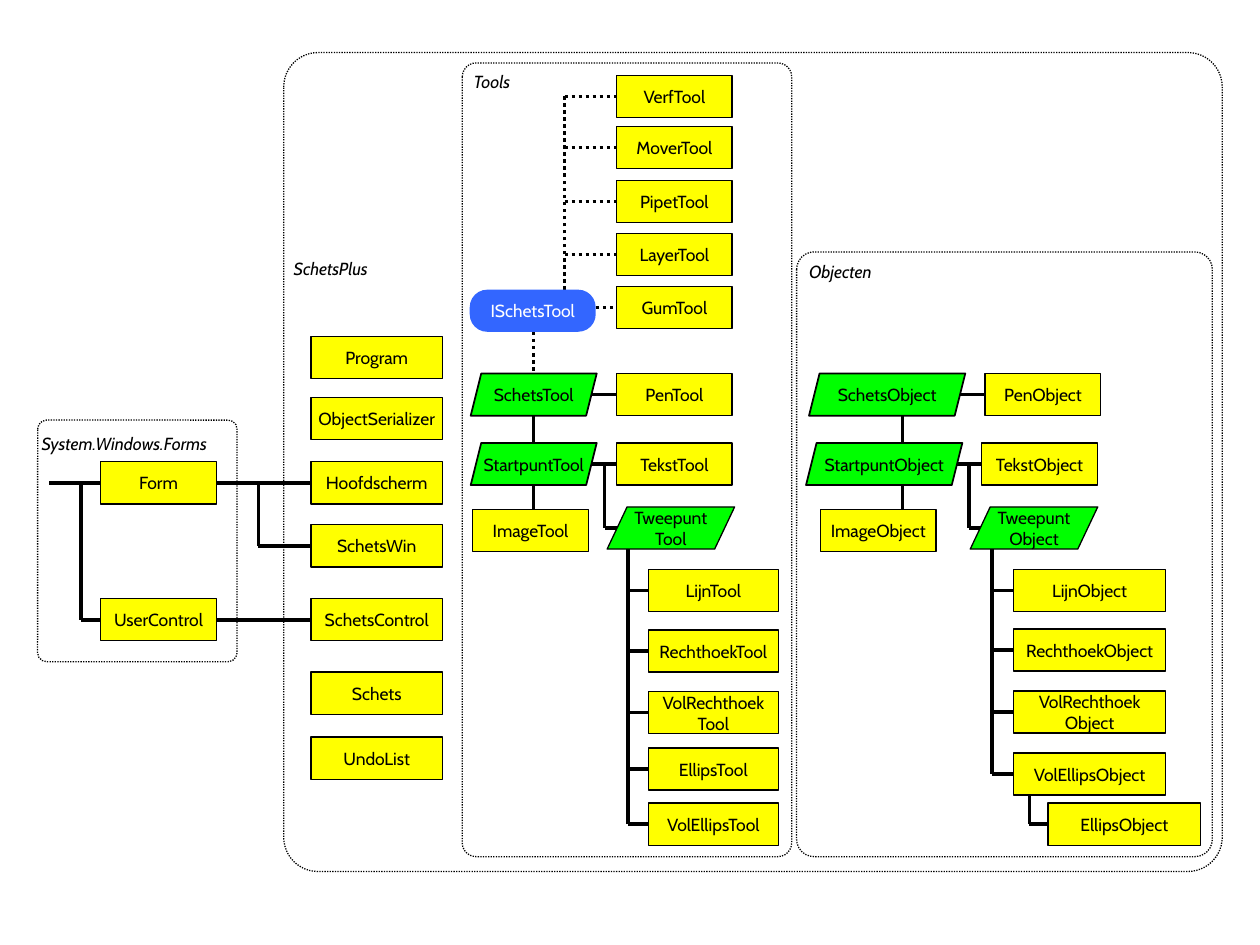
from copy import deepcopy
from dataclasses import dataclass

from lxml import etree
from pptx import Presentation
from pptx.dml.color import RGBColor
from pptx.enum.dml import MSO_LINE
from pptx.enum.shapes import MSO_CONNECTOR, MSO_SHAPE
from pptx.enum.text import MSO_ANCHOR, PP_ALIGN
from pptx.oxml.ns import qn
from pptx.util import Cm, Pt

RECT = MSO_SHAPE.RECTANGLE
ROUND = MSO_SHAPE.ROUNDED_RECTANGLE
SLANT = MSO_SHAPE.PARALLELOGRAM
STRAIGHT = MSO_CONNECTOR.STRAIGHT
DOTS = MSO_LINE.ROUND_DOT  # sysDot
CENTER, LEFT = PP_ALIGN.CENTER, PP_ALIGN.LEFT
MIDDLE = MSO_ANCHOR.MIDDLE


@dataclass(frozen=True)
class Theme:
    font: str = "Cabin"
    size: int = 10
    ink: RGBColor = RGBColor(0, 0, 0)
    light: RGBColor = RGBColor(255, 255, 255)
    concrete: RGBColor = RGBColor(255, 255, 0)
    abstract: RGBColor = RGBColor(0, 255, 0)
    interface: RGBColor = RGBColor(0x33, 0x66, 0xFF)
    thin: float = 0.75
    medium: float = 1
    thick: float = 2


THEME = Theme()
BOX_H = 0.85
NARROW = 2.33

# name, left, top, width, height, corner, label left, label top
FRAMES = [
    ("SchetsPlus", 5.72, 1.06, 18.92, 16.51, 0.042, 5.92, 5.21),
    ("System.Windows.Forms", 0.76, 8.47, 4.02, 4.87, 0.045, 0.84, 8.72),
    ("Objecten", 16.06, 5.08, 8.38, 12.19, 0.042, 16.31, 5.27),
    ("Tools", 9.32, 1.27, 6.64, 16, 0.042, 9.55, 1.43),
]
MAIN_CLASSES = {
    "Program": 6.78, "ObjectSerializer": 8.01, "Hoofdscherm": 9.31, "SchetsWin": 10.58,
    "SchetsControl": 12.07, "Schets": 13.55, "UndoList": 14.86,
}
FORM_CLASSES = {"Form": 9.31, "UserControl": 12.07}
DIRECT_TOOLS = {"LayerTool": 4.71, "PipetTool": 3.64, "MoverTool": 2.55, "VerfTool": 1.52}


@dataclass(frozen=True)
class Family:
    """Left edges (cm) of one class hierarchy, and its leaves with their tops."""
    suffix: str
    schets: float
    startpunt: float
    base_w: float
    spine: float
    pen: float
    tekst: float
    image: float
    elbow: float
    tweepunt: float
    trunk: float
    leaf: float
    leaf_w: float
    leaves: dict


FAMILIES = [
    Family("Tool", 9.49, 9.49, 2.54, 10.75, 12.43, 12.43, 9.53, 12.19, 12.24, 12.66,
           13.07, 2.62, {"Lijn": 11.48, "Rechthoek": 12.7, "VolRechthoek\n": 13.94,
                         "Ellips": 15.08, "VolEllips": 16.19}),
    Family("Object", 16.31, 16.25, 3.15, 18.19, 19.86, 19.79, 16.54, 19.53, 19.56, 20,
           20.43, 3.07, {"Lijn": 11.48, "Rechthoek": 12.68, "VolRechthoek\n": 13.93,
                         "VolEllips": 15.18}),
]
BASE_Y, START_Y, IMAGE_Y, TWO_Y = 7.53, 8.93, 10.27, 10.22


def mid(top):
    return top + BOX_H / 2


def write(tf, text, color=THEME.ink, align=CENTER, italic=False):
    p = tf.paragraphs[0]
    p.alignment = align
    for i, part in enumerate(text.split("\n")):
        if i:
            p.add_line_break()
        r = p.add_run()
        r.text = part
        f = r.font
        f.name, f.size, f.italic = THEME.font, Pt(THEME.size), italic
        f.color.rgb = color
    for br in p._p.findall(qn("a:br")):
        br.append(deepcopy(p.runs[0]._r.rPr))


def line(slide, x1, y1, x2, y2, dash=None):
    c = slide.shapes.add_connector(STRAIGHT, Cm(x1), Cm(y1), Cm(x2), Cm(y2))
    c.line.color.rgb = THEME.ink
    c.line.width = Pt(THEME.thick)
    if dash:
        c.line.dash_style = dash
    etree.SubElement(c._element.spPr, qn("a:effectLst"))


def shape(slide, kind, x, y, w, h, fill=None, edge=THEME.thin, adj=None):
    sp = slide.shapes.add_shape(kind, Cm(x), Cm(y), Cm(w), Cm(h))
    sp.shadow.inherit = False
    if adj is not None:
        sp.adjustments[0] = adj
    if fill is None:
        sp.fill.background()
    else:
        sp.fill.solid()
        sp.fill.fore_color.rgb = fill
    if edge:
        sp.line.color.rgb = THEME.ink
        sp.line.width = Pt(edge)
    else:
        sp.line.fill.background()
    return sp


def box(slide, text, x, y, w=NARROW, kind=RECT, fill=THEME.concrete, color=THEME.ink, **look):
    sp = shape(slide, kind, x, y, w, BOX_H, fill, **look)
    tf = sp.text_frame
    tf.word_wrap = False
    tf.vertical_anchor = MIDDLE
    write(tf, text, color)


def frame(slide, name, x, y, w, h, corner, label_x, label_y):
    shape(slide, ROUND, x, y, w, h, adj=corner).line.dash_style = DOTS
    tf = slide.shapes.add_textbox(Cm(label_x), Cm(label_y), Cm(4.24), Cm(0.43)).text_frame
    tf.margin_left = tf.margin_right = tf.margin_top = tf.margin_bottom = 0
    tf.word_wrap = True
    write(tf, name, align=LEFT, italic=True)


def branch(slide, trunk_x, start_y, x, tops, dash=None):
    """A trunk to the last box, with a stub to the middle of each box."""
    line(slide, trunk_x, start_y, trunk_x, mid(tops[-1]), dash)
    for top in tops:
        line(slide, trunk_x, mid(top), x, mid(top), dash)


def column(slide, classes, x, w=NARROW):
    for name, top in classes.items():
        box(slide, name, x, top, w)


def family(slide, f):
    line(slide, f.spine, BASE_Y + BOX_H, f.spine, IMAGE_Y)
    line(slide, f.schets + f.base_w - 0.2, mid(BASE_Y), f.pen, mid(BASE_Y))
    line(slide, f.startpunt + f.base_w - 0.2, mid(START_Y), f.tekst, mid(START_Y))
    branch(slide, f.elbow, mid(START_Y), f.tweepunt + 0.25, [TWO_Y])
    branch(slide, f.trunk, TWO_Y + BOX_H, f.leaf, list(f.leaves.values()))
    for name, x, y in (("Schets", f.schets, BASE_Y), ("Startpunt", f.startpunt, START_Y)):
        box(slide, name + f.suffix, x, y, f.base_w, SLANT, THEME.abstract, edge=THEME.medium)
    box(slide, "Tweepunt\n" + f.suffix, f.tweepunt, TWO_Y, 2.57, SLANT, THEME.abstract, adj=0.473)
    for name, x, y in (("Pen", f.pen, BASE_Y), ("Tekst", f.tekst, START_Y),
                       ("Image", f.image, IMAGE_Y)):
        box(slide, name + f.suffix, x, y)
    column(slide, {name + f.suffix: top for name, top in f.leaves.items()}, f.leaf, f.leaf_w)


def forms_and_main(slide):
    form_y, control_y = FORM_CLASSES.values()
    line(slide, 0.99, mid(form_y), 2.03, mid(form_y))
    branch(slide, 1.63, mid(form_y), 2.03, [control_y])
    for top in (form_y, control_y):
        line(slide, 4.36, mid(top), 6.27, mid(top))
    branch(slide, 5.21, mid(form_y), 6.27, [MAIN_CLASSES["SchetsWin"]])
    column(slide, FORM_CLASSES, 2.03)
    column(slide, MAIN_CLASSES, 6.27, 2.65)


def interface(slide):
    x, y, w, tool_x, gum_y = 9.47, 5.84, 2.54, 12.43, 5.77
    branch(slide, 11.38, y, tool_x, list(DIRECT_TOOLS.values()), DOTS)
    line(slide, x + w, mid(gum_y), tool_x, mid(gum_y), DOTS)
    line(slide, 10.75, y + BOX_H, 10.75, BASE_Y, DOTS)
    box(slide, "ISchetsTool", x, y, w, ROUND, THEME.interface, THEME.light, edge=0, adj=0.417)
    column(slide, {**DIRECT_TOOLS, "GumTool": gum_y}, tool_x)


def main():
    prs = Presentation()
    prs.slide_width, prs.slide_height = Cm(25.4), Cm(19.05)
    slide = prs.slides.add_slide(prs.slide_layouts[6])
    for spec_row in FRAMES:
        frame(slide, *spec_row)
    forms_and_main(slide)
    interface(slide)
    for f in FAMILIES:
        family(slide, f)
    ellips_y = 16.19
    branch(slide, 20.75, FAMILIES[1].leaves["VolEllips"] + BOX_H, 21.13, [ellips_y])
    box(slide, "EllipsObject", 21.13, ellips_y, FAMILIES[1].leaf_w)
    prs.save("out.pptx")


if __name__ == "__main__":
    main()
